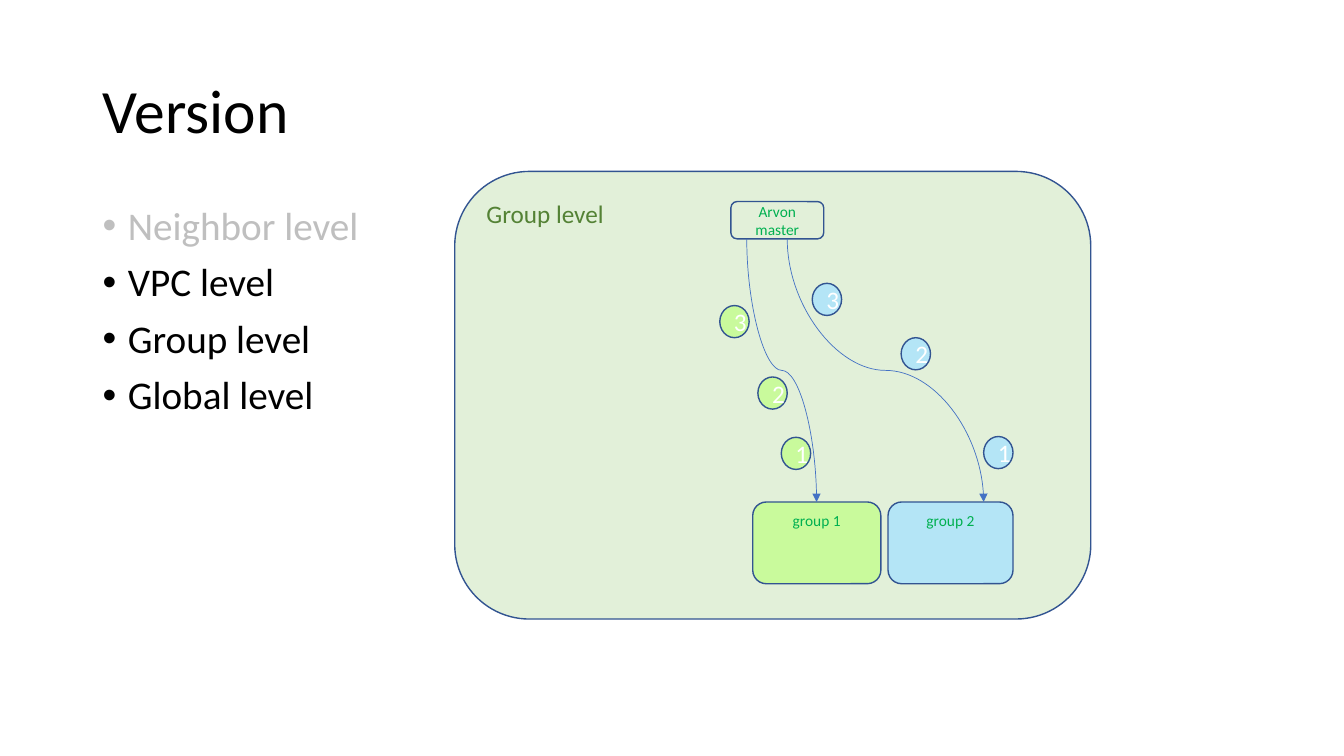
"""Build the Version slide: a level list beside the group-level diagram."""
from lxml.etree import SubElement
from pptx import Presentation
from pptx.dml.color import RGBColor
from pptx.enum.shapes import MSO_CONNECTOR, MSO_SHAPE
from pptx.enum.text import MSO_ANCHOR, PP_ALIGN
from pptx.oxml.ns import qn
from pptx.util import Cm, Pt

COLORS = {
    "black": "000000", "muted": "BFBFBF", "white": "FFFFFF",
    "panel": "E2F0D9", "lime": "C9FA9C", "sky": "B4E5F6",
    "outline": "325491", "arrow": "4472C4",
    "heading": "548235", "label": "00B050",
}
FONT = "Calibri"

TITLE = ("Version", (2.33, 1.01, 29.21, 3.68))
LEVELS_BOX = (2.33, 5.08, 29.21, 12.09)
LEVELS = [
    ("Neighbor level", "muted"),
    ("VPC level", "black"),
    ("Group level", "black"),
    ("Global level", "black"),
]

TOP, MID = MSO_ANCHOR.TOP, MSO_ANCHOR.MIDDLE
LEFT, CENTER = PP_ALIGN.LEFT, PP_ALIGN.CENTER
BOXES = [
    ("Group level", (11.46, 4.32, 16.03, 11.28), "panel", 18, "heading", LEFT, TOP),
    ("group 1", (18.97, 12.65, 3.23, 2.06), "lime", 11, "label", CENTER, TOP),
    ("group 2", (22.38, 12.65, 3.15, 2.06), "sky", 11, "label", CENTER, TOP),
    ("Arvon master", (18.42, 5.08, 2.34, 0.94), "panel", 11, "label", CENTER, MID),
]

ARROW_TOP, ARROW_BOTTOM = 6.02, 12.65
ARROWS = [(18.82, 20.58), (19.84, 24.79)]

BADGE_W, BADGE_H = 0.74, 0.81
BADGES = {
    "lime": [(19.69, 11.02), (19.1, 9.5), (18.14, 7.7)],
    "sky": [(24.79, 11), (22.71, 8.51), (20.47, 7.14)],
}


def color(name):
    return RGBColor.from_string(COLORS[name])


def add_text(p, text, size, name):
    r = p.add_run()
    r.text = text
    r.font.name = FONT
    r.font.size = Pt(size)
    r.font.color.rgb = color(name)


def place(sp, box):
    sp.left, sp.top, sp.width, sp.height = map(Cm, box)


def add_box(slide, kind, text, box, fill, size, ink, align, anchor):
    sp = slide.shapes.add_shape(kind, *map(Cm, box))
    sp.shadow.inherit = False
    sp.fill.solid()
    sp.fill.fore_color.rgb = color(fill)
    sp.line.color.rgb = color("outline")
    sp.line.width = Pt(1)
    sp.text_frame.vertical_anchor = anchor
    p = sp.text_frame.paragraphs[0]
    p.alignment = align
    add_text(p, text, size, ink)


def add_arrow(slide, x1, x2):
    """Draw a downward S-curve as a sideways curve turned by 270 degrees."""
    cx, cy = (x1 + x2) / 2, (ARROW_TOP + ARROW_BOTTOM) / 2
    dx, dy = (x2 - x1) / 2, (ARROW_BOTTOM - ARROW_TOP) / 2
    ends = map(Cm, (cx + dy, cy - dx, cx - dy, cy + dx))
    line = slide.shapes.add_connector(MSO_CONNECTOR.CURVE, *ends)
    line.line.color.rgb = color("arrow")
    line.line.width = Pt(0.5)
    sp_pr = line._element.spPr
    sp_pr.find(qn("a:xfrm")).set("rot", str(270 * 60000))
    SubElement(sp_pr.find(qn("a:ln")), qn("a:tailEnd"), type="triangle")
    SubElement(sp_pr, qn("a:effectLst"))


def add_title(slide):
    text, box = TITLE
    sp = slide.shapes.title
    place(sp, box)
    sp.text_frame.vertical_anchor = MID
    p = sp.text_frame.paragraphs[0]
    p.alignment = LEFT
    p.line_spacing = 0.9
    add_text(p, text, 44, "black")


def add_levels(slide):
    sp = slide.placeholders[1]
    place(sp, LEVELS_BOX)
    tf = sp.text_frame
    for i, (text, ink) in enumerate(LEVELS):
        p = tf.add_paragraph() if i else tf.paragraphs[0]
        p.line_spacing = 0.9
        p.space_before = Pt(10)
        p_pr = p._p.get_or_add_pPr()
        p_pr.set("marL", str(Cm(0.64)))
        p_pr.set("indent", str(-Cm(0.64)))
        SubElement(p_pr, qn("a:buFont"), typeface="Arial")
        SubElement(p_pr, qn("a:buChar"), char="•")
        add_text(p, text, 28, ink)


def main():
    prs = Presentation()
    prs.slide_width, prs.slide_height = Cm(33.87), Cm(19.05)
    slide = prs.slides.add_slide(prs.slide_layouts[1])
    add_title(slide)
    add_levels(slide)
    for box in BOXES:
        add_box(slide, MSO_SHAPE.ROUNDED_RECTANGLE, *box)
    for x1, x2 in ARROWS:
        add_arrow(slide, x1, x2)
    for fill, spots in BADGES.items():
        for number, spot in enumerate(spots, 1):
            add_box(slide, MSO_SHAPE.OVAL, str(number), (*spot, BADGE_W, BADGE_H),
                    fill, 18, "white", CENTER, MID)
    prs.save("out.pptx")


if __name__ == "__main__":
    main()
